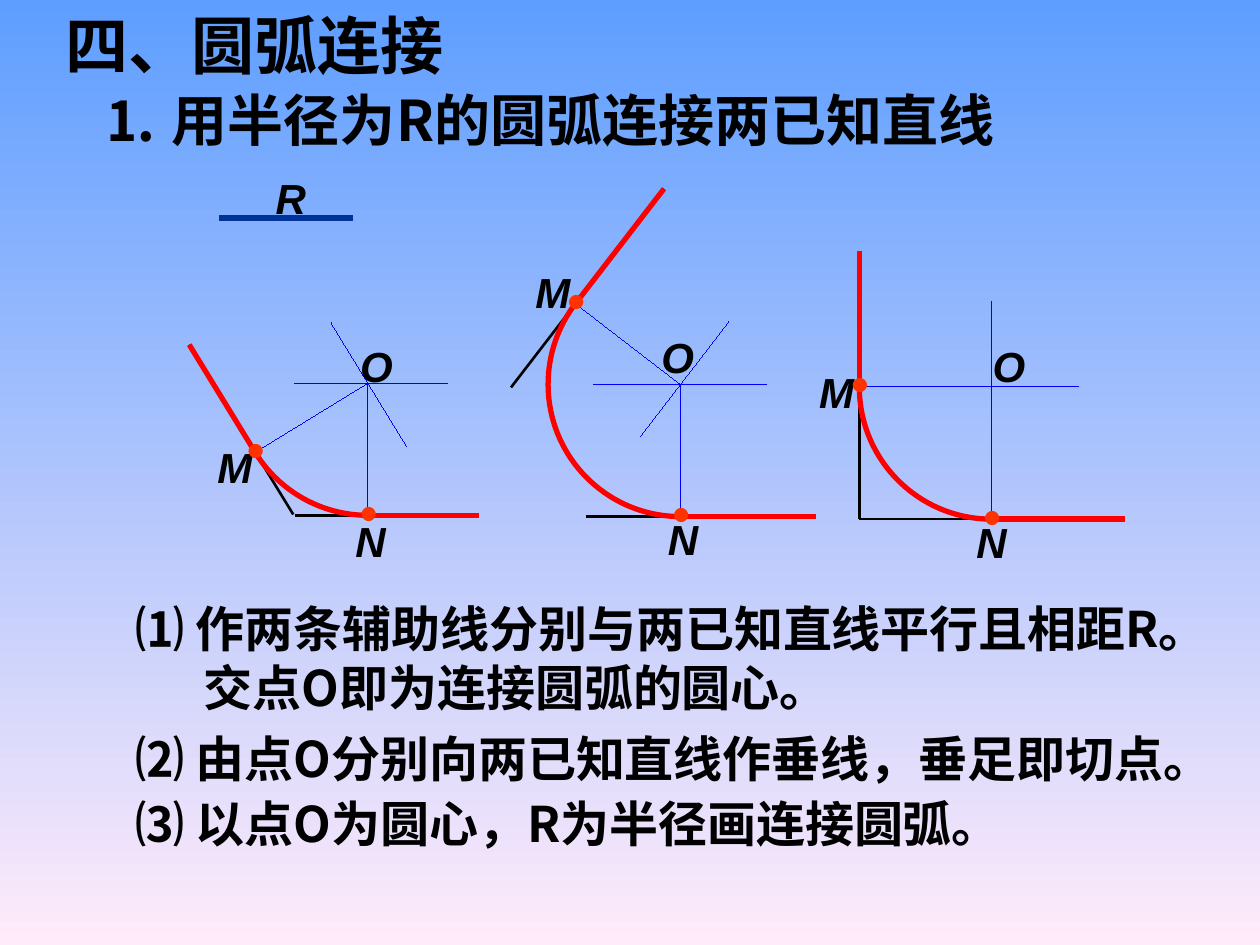
import math

import pptx
import pptx.dml.color
import pptx.enum.shapes
import pptx.enum.text
import pptx.oxml.ns
import pptx.util
from lxml import etree

COLUMNS, ROWS = 10, 7.5
CELL = pptx.util.Inches(1)
LATIN, HAN = "Arial", "Noto Sans CJK SC"
BLACK, BLUE, NAVY, RED, ORANGE = "000000", "0000FF", "003399", "FF0000", "FF3300"
HAIRLINE = 0.01
LABEL_WIDTHS = {"M": 0.49, "N": 0.45, "O": 0.44, "R": 0.4}


def grid(cells):
    """Return the length of a number of grid cells."""
    return round(cells * CELL)


def rgb(value):
    """Return the colour of a hex string."""
    return pptx.dml.color.RGBColor.from_string(value)


def polar(origin, degrees, length):
    """Return the point at an angle and distance, clockwise from the right."""
    angle = math.radians(degrees)
    return origin[0] + length * math.cos(angle), origin[1] + length * math.sin(angle)


def add_line(slide, start, end, color, width):
    """Draw a straight line between two grid points."""
    line = slide.shapes.add_connector(
        pptx.enum.shapes.MSO_CONNECTOR.STRAIGHT, *map(grid, (*start, *end)))
    line.line.color.rgb = rgb(color)
    line.line.width = pptx.util.Pt(width)
    etree.SubElement(line._element.spPr, pptx.oxml.ns.qn("a:effectLst"))


def add_arc(slide, center, radius, first, last):
    """Draw an open red arc as one Bezier curve for each quarter turn or less."""
    stops = [first, *([180] if last > 180 else []), last]
    points = [polar(center, first, radius)]
    for begin, end in zip(stops, stops[1:]):
        handle = radius * 4 / 3 * math.tan(math.radians(end - begin) / 4)
        start, finish = polar(center, begin, radius), polar(center, end, radius)
        points += [polar(start, begin + 90, handle), polar(finish, end - 90, handle), finish]
    points = [tuple(map(grid, point)) for point in points]
    builder = slide.shapes.build_freeform(*points[0])
    builder.add_line_segments(points[1:], close=False)
    arc = builder.convert_to_shape()
    segments = list(arc._element.iter(pptx.oxml.ns.qn("a:lnTo")))
    for i in range(0, len(segments), 3):
        curve = etree.Element(pptx.oxml.ns.qn("a:cubicBezTo"))
        segments[i].addprevious(curve)
        for segment in segments[i:i + 3]:
            curve.append(segment[0])
            segment.getparent().remove(segment)
    arc.shadow.inherit = False
    arc.fill.background()
    arc.line.color.rgb = rgb(RED)
    arc.line.width = pptx.util.Pt(3)


def add_text(slide, box, words, size, face=HAN, color=BLACK, italic=False,
             centred=False, wrap=False):
    """Place one bold paragraph in a box."""
    frame = slide.shapes.add_textbox(*map(grid, box)).text_frame
    frame.word_wrap = wrap
    frame.auto_size = pptx.enum.text.MSO_AUTO_SIZE.SHAPE_TO_FIT_TEXT
    paragraph = frame.paragraphs[0]
    paragraph.text = words
    if centred:
        paragraph.alignment = pptx.enum.text.PP_ALIGN.CENTER
    font = paragraph.font
    font.size, font.bold, font.italic = pptx.util.Pt(size), True, italic
    font.color.rgb = rgb(color)
    font.name = face
    properties = paragraph._p.pPr.find(pptx.oxml.ns.qn("a:defRPr"))
    etree.SubElement(properties, pptx.oxml.ns.qn("a:ea"), typeface=face)


def add_label(slide, letter, point, offset):
    """Centre a point's letter at an offset from it."""
    width, height = LABEL_WIDTHS[letter], 0.5
    box = (point[0] + offset[0] - width / 2, point[1] + offset[1] - height / 2, width, height)
    add_text(slide, box, letter, 24, LATIN, italic=True, centred=True)


def add_tangent_point(slide, point):
    """Mark a tangent point with a dot."""
    width, height = 0.31, 0.25
    box = (point[0] - width / 2, point[1] - 0.01 - height / 2, width, height)
    add_text(slide, box, "●", 9, color=ORANGE, centred=True)


def add_connection(slide, box, angle, known, joined, level, slanted, offsets, radii=True):
    """Join two known lines by the arc of the circle that fills a square box."""
    left, top, size = box
    radius = size / 2
    center = left + radius, top + radius
    points = {"O": center, "M": polar(center, angle, radius), "N": polar(center, 90, radius)}
    directions = {"M": angle + 90, "N": 0}

    for name, length in known.items():
        start = polar(points[name], directions[name] + 180, length)
        add_line(slide, start, polar(points[name], directions[name], joined[name]), BLACK, 1.5)
    for direction, (back, forward) in ((0, level), (angle + 90, slanted)):
        add_line(slide, polar(center, direction + 180, back),
                 polar(center, direction, forward), BLUE, HAIRLINE)
    for name, length in joined.items():
        if radii:
            add_line(slide, center, points[name], BLUE, HAIRLINE)
        add_line(slide, points[name], polar(points[name], directions[name], length), RED, 3)
    add_arc(slide, center, radius, 90, angle)
    for name, offset in offsets.items():
        add_label(slide, name, points[name], offset)
    for name in joined:
        add_tangent_point(slide, points[name])


def add_given_radius(slide, box):
    """Draw the given radius as a bar with its letter above."""
    left, top, width = box
    add_line(slide, (left, top), (left + width, top), NAVY, 3)
    add_label(slide, "R", (left + width / 2, top), (0.02, -0.16))


def add_headings(slide, box):
    """Place the section title and the topic below it."""
    left, top, width = box
    add_text(slide, (left, top, 3.2, 0.7), "四、圆弧连接", 36)
    add_text(slide, (left + 0.3, top + 0.63, width - 0.3, 0.64),
             "⒈ 用半径为R的圆弧连接两已知直线", 32)


def add_steps(slide, box):
    """Place the construction steps down a box."""
    left, top, width = box
    steps = (
        (0, 0, "⑴ 作两条辅助线分别与两已知直线平行且相距R。"),
        (0.54, 0.47, "交点O即为连接圆弧的圆心。"),
        (0, 1.03, "⑵ 由点O分别向两已知直线作垂线，垂足即切点。"),
        (0, 1.55, "⑶ 以点O为圆心，R为半径画连接圆弧。"),
    )
    for indent, drop, words in steps:
        add_text(slide, (left + indent, top + drop, width - indent, 0.57), words, 28, wrap=True)


def main():
    """Build and save the slide."""
    deck = pptx.Presentation()
    deck.slide_width, deck.slide_height = grid(COLUMNS), grid(ROWS)
    slide = deck.slides.add_slide(deck.slide_layouts[6])
    sky = slide.background.fill
    sky.gradient()
    sky.gradient_angle = 270
    for stop, color in zip(sky.gradient_stops, ("5E9EFF", "FFEBFA")):
        stop.color.rgb = rgb(color)

    add_headings(slide, (0.42, 0, 7.8))
    add_given_radius(slide, (1.74, 1.73, 1.06))
    add_connection(slide, (1.87, 1.99, 2.1), 148.5, {"M": 0.58, "N": 0.58},
                   {"M": 1, "N": 0.88}, (0.58, 0.63), (0.59, 0.56),
                   {"M": (-0.16, 0.12), "N": (0.02, 0.2), "O": (0.06, -0.14)})
    add_connection(slide, (4.35, 2, 2.1), 217.6, {"M": 0.84, "N": 0.75},
                   {"M": 1.15, "N": 1.08}, (0.69, 0.68), (0.52, 0.63),
                   {"M": (-0.18, -0.09), "N": (0.02, 0.18), "O": (-0.03, -0.22)})
    add_connection(slide, (6.82, 2.02, 2.1), 180, {"M": 1.05, "N": 1.05},
                   {"M": 1.08, "N": 1.06}, (1.05, 0.69), (1.05, 0.68),
                   {"M": (-0.18, 0.04), "N": (0, 0.18), "O": (0.13, -0.17)}, radii=False)
    add_steps(slide, (0.98, 4.7, 9))
    deck.save("out.pptx")


if __name__ == "__main__":
    main()
